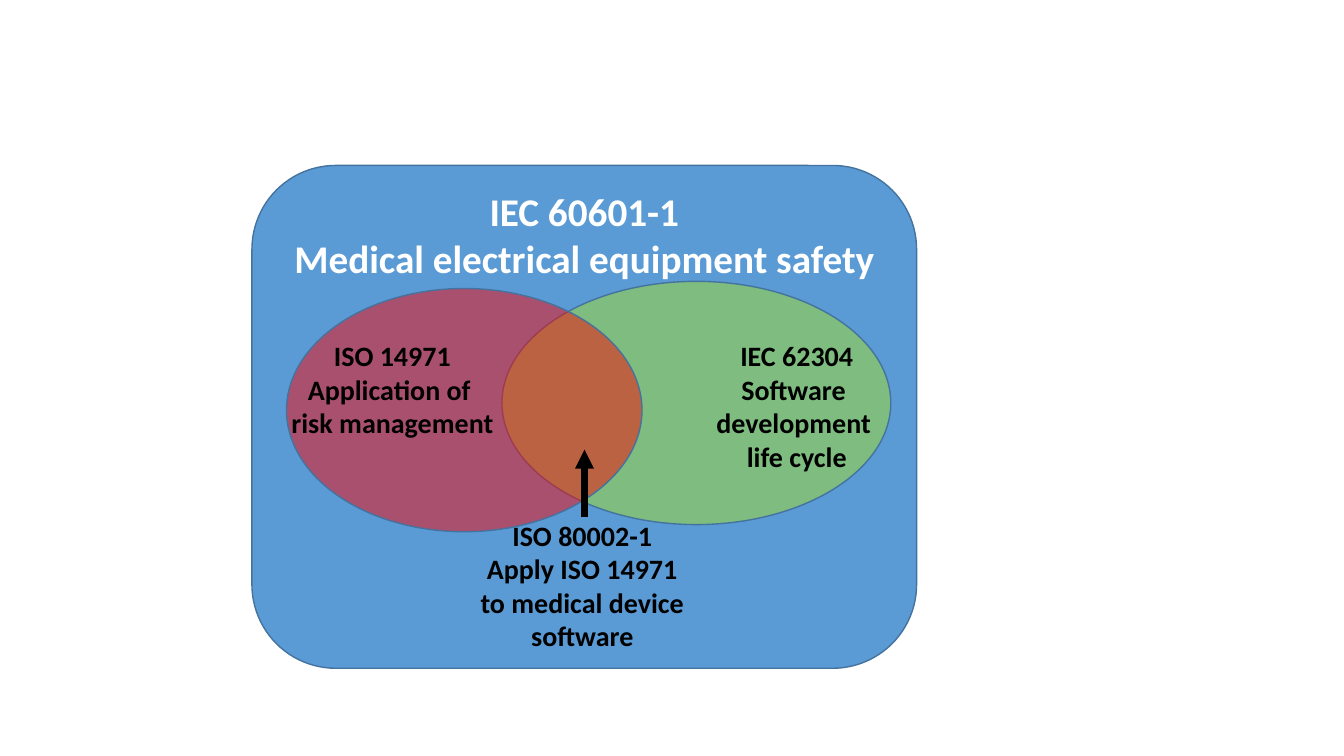
from lxml.etree import SubElement as Sub
from pptx import Presentation
from pptx.dml.color import RGBColor as RGB
from pptx.enum.shapes import MSO_CONNECTOR as Link, MSO_SHAPE as Kind
from pptx.enum.text import MSO_ANCHOR as Anchor, PP_ALIGN as Align
from pptx.oxml.ns import qn
from pptx.util import Cm, Pt

BLUE = RGB(0x5B, 0x9B, 0xD5)
EDGE = RGB(0x43, 0x73, 0x9E)
GREEN = RGB(0x92, 0xD0, 0x50)
RED = RGB(0xFF, 0x00, 0x00)
WHITE = RGB(0xFF, 0xFF, 0xFF)
BLACK = RGB(0x00, 0x00, 0x00)


class Board:
    font = "Calibri"

    def __init__(self, slide):
        self.slide = slide

    def letter(self, frame, text, size, color):
        frame.text = text
        frame.vertical_anchor = Anchor.TOP
        for para in frame.paragraphs:
            para.alignment = Align.CENTER
            for run in para.runs:
                run.font.name = self.font
                run.font.size = Pt(size)
                run.font.bold = True
                run.font.color.rgb = color

    def shape(self, kind, box, color):
        item = self.slide.shapes.add_shape(kind, *map(Cm, box))
        item.shadow.inherit = False
        item.fill.solid()
        item.fill.fore_color.rgb = color
        item.line.color.rgb = EDGE
        item.line.width = Pt(1)
        return item

    def panel(self, box, color, text):
        frame = self.shape(Kind.ROUNDED_RECTANGLE, box, color).text_frame
        frame.word_wrap = True
        frame.margin_top = Cm(-0.08)
        self.letter(frame, text, 28, WHITE)

    def oval(self, box, color, alpha):
        item = self.shape(Kind.OVAL, box, color)
        tone = item.element.spPr.find(qn("a:solidFill"))[0]
        Sub(tone, qn("a:alpha")).set("val", str(alpha * 1000))

    def label(self, box, text):
        frame = self.slide.shapes.add_textbox(*map(Cm, box)).text_frame
        frame.word_wrap = False
        self.letter(frame, text, 20, BLACK)

    def arrow(self, start, end):
        item = self.slide.shapes.add_connector(
            Link.STRAIGHT, *map(Cm, start + end))
        item.line.color.rgb = BLACK
        item.line.width = Pt(4.5)
        props = item.element.spPr
        Sub(props.find(qn("a:ln")), qn("a:tailEnd")).set("type", "triangle")
        Sub(props, qn("a:effectLst"))


deck = Presentation()
deck.slide_width, deck.slide_height = Cm(33.87), Cm(19.05)
board = Board(deck.slides.add_slide(deck.slide_layouts[6]))

board.panel((6.35, 4.17, 16.75, 12.67), BLUE,
            "IEC 60601-1\nMedical electrical equipment safety")
board.oval((12.65, 7.09, 9.8, 6.13), GREEN, 64)
board.label((17.78, 8.41, 4.6, 3.68),
            "IEC 62304\nSoftware \ndevelopment \nlife cycle")
board.oval((7.22, 7.27, 8.96, 6.13), RED, 48)
board.label((7.07, 8.41, 5.64, 2.82),
            "ISO 14971\nApplication of \nrisk management")
board.label((11.83, 12.93, 5.69, 3.68),
            "ISO 80002-1\nApply ISO 14971\nto medical device\nsoftware")
board.arrow((14.73, 13.03), (14.73, 11.33))

deck.save("out.pptx")
